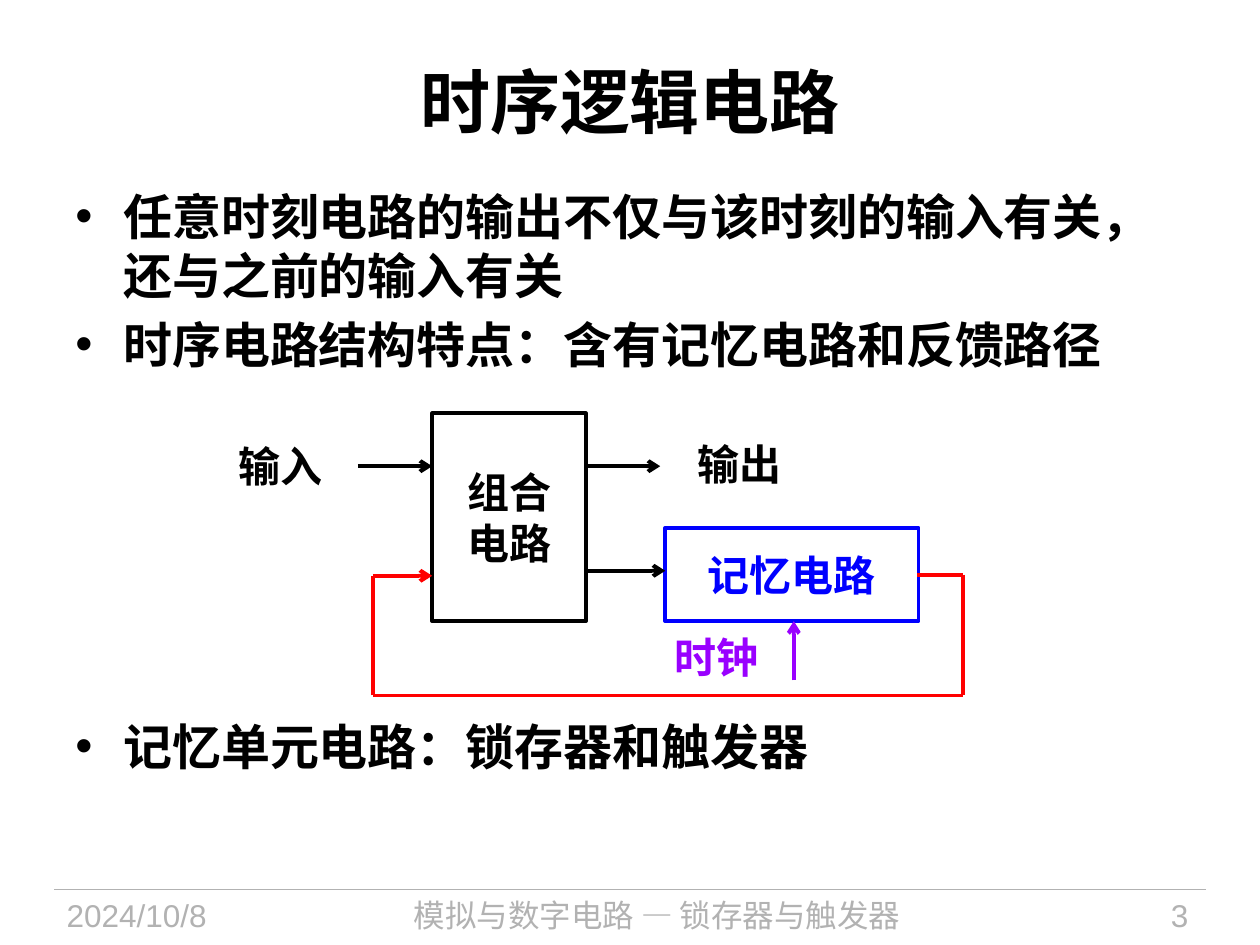
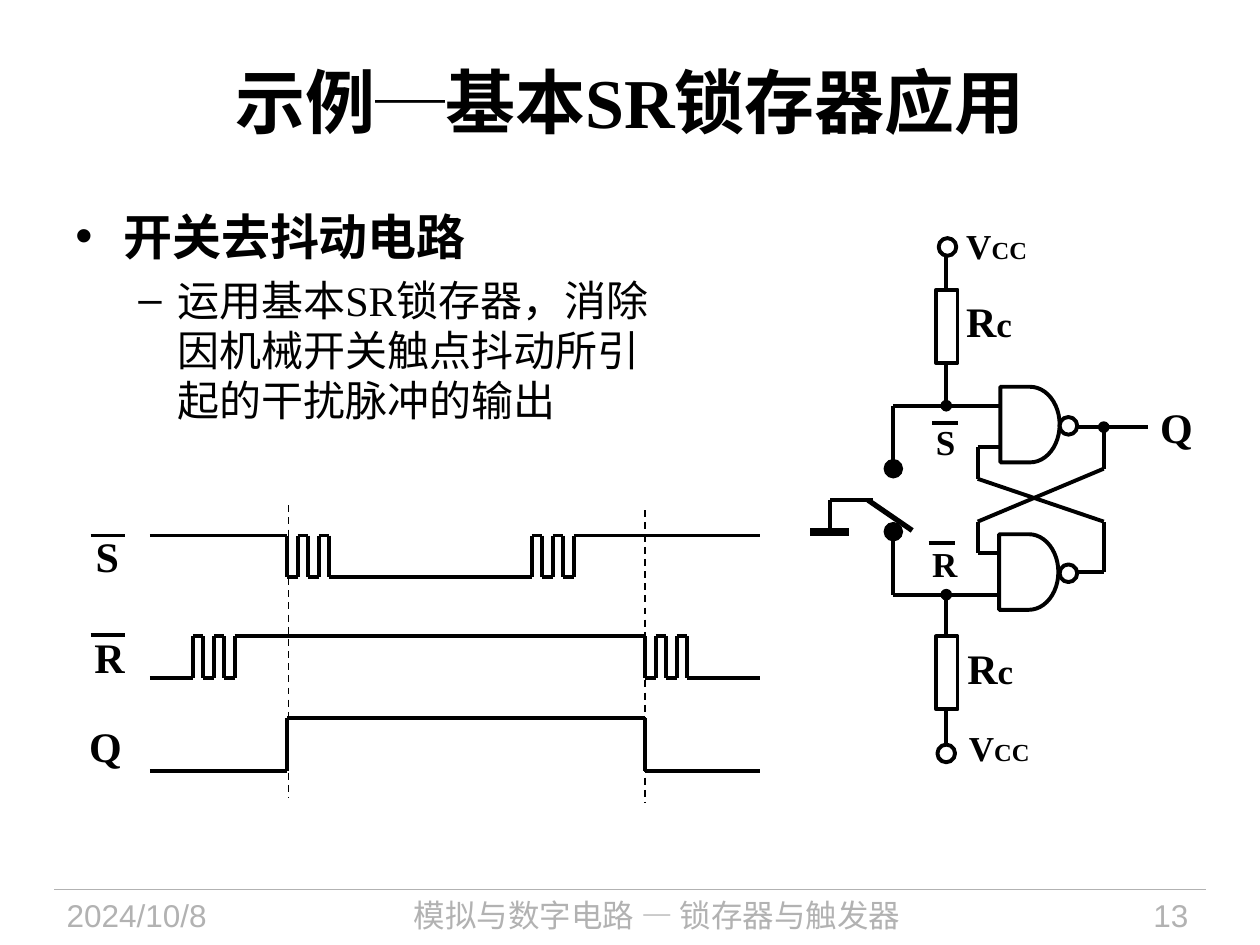
import pptx
import pptx.util
import pptx.dml.color
import pptx.enum.dml
import pptx.enum.shapes
import pptx.enum.text
import pptx.oxml.ns
from lxml import etree
from dataclasses import dataclass
from itertools import pairwise

Inches = pptx.util.Inches
Pt = pptx.util.Pt
SHAPE = pptx.enum.shapes.MSO_SHAPE
ALIGN = pptx.enum.text.PP_ALIGN
ANCHOR = pptx.enum.text.MSO_ANCHOR


@dataclass(frozen=True)
class Theme:
    black: str = "000000"
    white: str = "FFFFFF"
    gray: str = "B2B2B2"
    red: str = "FF0000"
    blue: str = "0000FF"
    purple: str = "9900FF"
    serif: str = "Times New Roman"
    sans: str = "Arial"
    chinese: str = "Noto Sans CJK SC"
    title: int = 40
    bullet: int = 28
    label: int = 24
    small_label: int = 20
    subscript: int = 14
    footer: int = 18
    wire: float = 2.25


THEME = Theme()

# ---- Shared content ----
DATE = "2024/10/8"
COURSE = "模拟与数字电路 — 锁存器与触发器"

# Bullet levels: mark, left margin, hanging indent, size, bold
LEVELS = [("•", 0.38, -0.38, THEME.bullet, True),
          ("–", 0.81, -0.31, THEME.label, False)]

# ---- Slide 3: structure of a sequential circuit ----
# Bullets: level, text, space before in points
SEQUENTIAL_BULLETS = [
    (0, "任意时刻电路的输出不仅与该时刻的输入有关，还与之前的输入有关", 0),
    (0, "时序电路结构特点：含有记忆电路和反馈路径", 6),
    (0, "记忆单元电路：锁存器和触发器", 196),
]
# Blocks: lines, box, colour
BLOCKS = [
    (["记忆电路"], (5.28, 4.19, 2.01, 0.74), THEME.blue),
    (["组合", "电路"], (3.43, 3.28, 1.22, 1.65), THEME.black),
]
SIGNAL_LABELS = [
    ("输入", (1.58, 3.5, 1.3, 0.4), THEME.black),
    ("输出", (5.24, 3.48, 1.26, 0.4), THEME.black),
    ("时钟", (5.16, 5.01, 1.06, 0.4), THEME.purple),
]
SIGNAL_ARROWS = [
    ([(2.84, 3.7), (3.43, 3.7)], THEME.black),
    ([(4.65, 3.7), (5.24, 3.7)], THEME.black),
    ([(4.65, 4.53), (5.28, 4.53)], THEME.black),
    ([(7.28, 4.56), (7.64, 4.56), (7.64, 5.52), (2.96, 5.52),
      (2.96, 4.57), (3.43, 4.57)], THEME.red),
    ([(6.3, 5.4), (6.3, 4.93)], THEME.purple),
]

# ---- Slide 13: switch debouncing ----
DEBOUNCE_BULLETS = [
    (0, "开关去抖动电路", 0),
    (1, "运用基本SR锁存器，消除因机械开关触点抖动所引起的干扰脉冲的输出", 5),
]
# Wires: points, format of the line
DOT, CONTACT = ("oval", "med"), ("oval", "lg")
CIRCUIT_WIRES = [
    ([(8.43, 3.39), (9.11, 3.39)], {}),
    ([(8.76, 3.39), (8.76, 3.72), (7.76, 4.14), (7.76, 4.39), (7.93, 4.39)], {"head": DOT}),
    ([(8.43, 4.54), (8.76, 4.54), (8.76, 4.14), (7.76, 3.8), (7.76, 3.55), (7.93, 3.55)], {}),
    ([(7.93, 3.22), (7.09, 3.22), (7.09, 3.72)], {"tail": CONTACT}),
    ([(7.09, 4.22), (7.09, 4.72), (7.93, 4.72)], {"head": CONTACT}),
    ([(6.93, 3.97), (6.59, 3.97), (6.59, 4.22)], {}),
    ([(6.43, 4.22), (6.74, 4.22)], {"width": 4.5}),
    ([(6.89, 3.97), (7.24, 4.21)], {"width": 3}),
    ([(7.51, 1.97), (7.51, 2.3)], {}),
    ([(7.51, 2.89), (7.51, 3.22)], {"tail": DOT}),
    ([(7.51, 4.72), (7.51, 5.05)], {"head": DOT}),
    ([(7.51, 5.64), (7.51, 5.97)], {}),
]
RESISTORS = [(7.43, 2.3), (7.43, 5.05)]
GATES = [(7.94, 3.07), (7.93, 4.24)]
TERMINALS = [(8.41, 3.31), (8.41, 4.48), (7.45, 1.89), (7.44, 5.91)]
# Labels: box, runs of text and size
SUPPLY = [("V", THEME.small_label), ("CC", THEME.subscript)]
RESISTANCE = [("R", THEME.label), ("c", THEME.small_label)]
CIRCUIT_LABELS = [
    ((7.57, 1.73, 0.68, 0.43), SUPPLY),
    ((7.59, 5.72, 0.68, 0.43), SUPPLY),
    ((7.57, 2.3, 0.57, 0.5), RESISTANCE),
    ((7.58, 5.05, 0.57, 0.5), RESISTANCE),
    ((9.11, 3.14, 0.46, 0.5), [("Q", THEME.label)]),
    ((7.33, 3.29, 0.36, 0.43), [("S", THEME.small_label)]),
    ((7.3, 4.26, 0.4, 0.43), [("R", THEME.small_label)]),
    ((0.66, 4.16, 0.39, 0.5), [("S", THEME.label)]),
    ((0.65, 4.96, 0.44, 0.5), [("R", THEME.label)]),
    ((0.61, 5.67, 0.46, 0.5), [("Q", THEME.label)]),
]
# Overlines: left, right, height on the slide
OVERLINES = [(7.4, 7.6, 3.36), (7.37, 7.58, 4.31), (0.72, 0.99, 4.25), (0.72, 0.99, 5.04)]

# Waveforms: level before the first edge, level after it, edge times
WAVE_START, WAVE_END, BOUNCE = 1.19, 6.03, 1 / 12


def bouncing(start):
    return [start + step * BOUNCE for step in range(5)]


WAVES = [
    (4.25, 4.58, bouncing(2.28) + bouncing(4.22)),
    (5.38, 5.05, bouncing(1.53) + bouncing(5.12)),
    (6.12, 5.7, [2.28, 5.12]),
]
TIME_MARKS = [(2.29, 4.01), (5.12, 4.05)]
TIME_MARK_HEIGHT = 2.32


# ---- Drawing helpers ----
def rgb(colour):
    return pptx.dml.color.RGBColor.from_string(colour)


def set_values(target, values):
    for name, value in values.items():
        setattr(target, name, value)


def add_run(paragraph, text, size, font=THEME.serif, colour=THEME.black, bold=True):
    run = paragraph.add_run()
    run.text = text
    set_values(run.font, {"name": font, "size": Pt(size), "bold": bold})
    run.font.color.rgb = rgb(colour)
    east_asian = etree.SubElement(run.font._element, pptx.oxml.ns.qn("a:ea"))
    east_asian.set("typeface", THEME.chinese)


def set_frame(frame, inset=None, wrap=True, anchor=ANCHOR.TOP):
    set_values(frame, {"word_wrap": wrap, "vertical_anchor": anchor})
    if inset is not None:
        sides = ("left", "top", "right", "bottom")
        set_values(frame, {f"margin_{side}": Inches(inset) for side in sides})
    return frame


def add_text(slide, box, runs, align=ALIGN.LEFT, **frame_values):
    """Place one paragraph; each run is a tuple of add_run arguments."""
    shape = slide.shapes.add_textbox(*map(Inches, box))
    paragraph = set_frame(shape.text_frame, **frame_values).paragraphs[0]
    paragraph.alignment = align
    for run in runs:
        add_run(paragraph, *run)


def add_outline(slide, kind, box, colour=THEME.black, fill=None):
    shape = slide.shapes.add_shape(kind, *map(Inches, box))
    shape.shadow.inherit = False
    if fill:
        shape.fill.solid()
        shape.fill.fore_color.rgb = rgb(fill)
    else:
        shape.fill.background()
    shape.line.color.rgb = rgb(colour)
    shape.line.width = Pt(THEME.wire)
    return shape


def add_wire(slide, points, colour=THEME.black, width=THEME.wire, head=None, tail=None, dash=None):
    """Join the points with straight connectors; head and tail mark the two ends."""
    segments = list(pairwise(points))
    for index, (start, end) in enumerate(segments):
        connector = slide.shapes.add_connector(
            pptx.enum.shapes.MSO_CONNECTOR.STRAIGHT, *map(Inches, start + end))
        connector.line.color.rgb = rgb(colour)
        set_values(connector.line, {"width": Pt(width), "dash_style": dash})
        line = connector.line._get_or_add_ln()
        ends = (("headEnd", head, index == 0),
                ("tailEnd", tail, index == len(segments) - 1))
        for tag, mark, at_end in ends:
            if mark and at_end:
                element = etree.SubElement(line, pptx.oxml.ns.qn(f"a:{tag}"))
                for name, value in zip(("type", "w", "len"), (mark[0], mark[1], mark[1])):
                    element.set(name, value)
        etree.SubElement(connector._element.spPr, pptx.oxml.ns.qn("a:effectLst"))


def add_bullets(slide, box, bullets):
    frame = set_frame(slide.shapes.add_textbox(*map(Inches, box)).text_frame)
    for index, (level, text, space_before) in enumerate(bullets):
        paragraph = frame.add_paragraph() if index else frame.paragraphs[0]
        mark, margin, indent, size, bold = LEVELS[level]
        set_values(paragraph, {"level": level, "space_before": Pt(space_before)})
        properties = paragraph._p.get_or_add_pPr()
        properties.set("marL", str(Inches(margin)))
        properties.set("indent", str(Inches(indent)))
        for tag, name, value in (("buFont", "typeface", THEME.sans), ("buChar", "char", mark)):
            etree.SubElement(properties, pptx.oxml.ns.qn(f"a:{tag}")).set(name, value)
        add_run(paragraph, text, size, bold=bold)


def add_base_slide(presentation, title, number):
    """Start a slide with the shared title and footer."""
    slide = presentation.slides.add_slide(presentation.slide_layouts[6])
    add_wire(slide, [(0.43, 7.06), (9.57, 7.06)], THEME.gray, 0.75)
    footers = [
        (DATE, 0.43, 1.88, ALIGN.LEFT, THEME.sans),
        (COURSE, 2.4, 5.63, ALIGN.CENTER, THEME.chinese),
        (number, 8.2, 1.33, ALIGN.RIGHT, THEME.sans),
    ]
    for text, left, width, align, font in footers:
        add_text(slide, (left, 7.06, width, 0.44),
                 [(text, THEME.footer, font, THEME.gray, False)], align)
    add_text(slide, (0.5, 0.17, 9, 1.25), [(title, THEME.title)], ALIGN.CENTER,
             anchor=ANCHOR.MIDDLE)
    return slide


# ---- Slides ----
def build_sequential_slide(presentation):
    slide = add_base_slide(presentation, "时序逻辑电路", "3")
    add_bullets(slide, (0.5, 1.43, 8.99, 5.55), SEQUENTIAL_BULLETS)
    for lines, box, colour in BLOCKS:
        frame = add_outline(slide, SHAPE.RECTANGLE, box, colour).text_frame
        set_frame(frame, inset=0, wrap=False, anchor=ANCHOR.MIDDLE)
        for index, text in enumerate(lines):
            paragraph = frame.add_paragraph() if index else frame.paragraphs[0]
            paragraph.alignment = ALIGN.CENTER
            add_run(paragraph, text, THEME.label, THEME.sans, colour)
    for points, colour in SIGNAL_ARROWS:
        add_wire(slide, points, colour, tail=("arrow", "med"))
    for text, box, colour in SIGNAL_LABELS:
        add_text(slide, box, [(text, THEME.label, THEME.serif, colour)], ALIGN.CENTER,
                 inset=0, anchor=ANCHOR.MIDDLE)


def wave_points(before, after, edges):
    points, levels = [(WAVE_START, before)], (before, after)
    for index, time in enumerate(edges):
        points += [(time, levels[index % 2]), (time, levels[(index + 1) % 2])]
    return points + [(WAVE_END, levels[len(edges) % 2])]


def build_debounce_slide(presentation):
    slide = add_base_slide(presentation, "示例─基本SR锁存器应用", "13")
    add_bullets(slide, (0.5, 1.59, 4.96, 2.39), DEBOUNCE_BULLETS)
    # Latch circuit
    for points, line_format in CIRCUIT_WIRES:
        add_wire(slide, points, **line_format)
    parts = [
        (SHAPE.RECTANGLE, RESISTORS, (0.17, 0.58), None),
        (SHAPE.FLOWCHART_DELAY, GATES, (0.47, 0.6), THEME.white),
        (SHAPE.OVAL, TERMINALS, (0.14, 0.14), THEME.white),
    ]
    for kind, places, size, fill in parts:
        for place in places:
            add_outline(slide, kind, place + size, fill=fill)
    # Timing diagram
    for wave in WAVES:
        add_wire(slide, wave_points(*wave))
    for left, top in TIME_MARKS:
        add_wire(slide, [(left, top), (left, top + TIME_MARK_HEIGHT)], width=1,
                 dash=pptx.enum.dml.MSO_LINE.DASH)
    # Names of signals and parts
    for box, runs in CIRCUIT_LABELS:
        add_text(slide, box, runs, wrap=False)
    for left, right, height in OVERLINES:
        add_wire(slide, [(left, height), (right, height)])


def main():
    presentation = pptx.Presentation()
    set_values(presentation, {"slide_width": Inches(10), "slide_height": Inches(7.5)})
    build_sequential_slide(presentation)
    build_debounce_slide(presentation)
    presentation.save("out.pptx")


if __name__ == "__main__":
    main()
